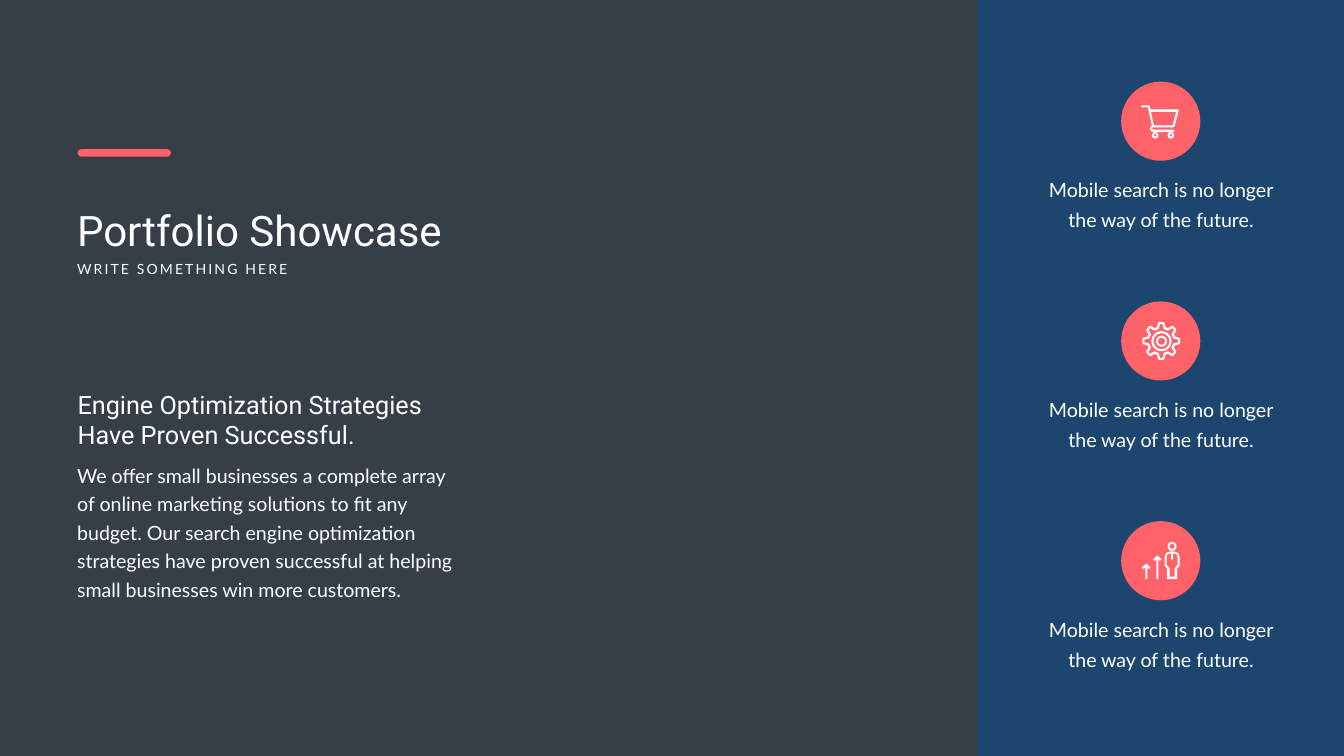
from math import cos, radians, sin

from pptx import Presentation
from pptx.dml.color import RGBColor
from pptx.enum.shapes import MSO_SHAPE
from pptx.enum.text import MSO_AUTO_SIZE, PP_ALIGN
from pptx.util import Pt

PX = 9144  # EMU per px, 100 px to the inch
WIDTH, HEIGHT = 2666, 1500
COLORS = {"slate": "363E48", "navy": "1C466E", "coral": "FF6269", "white": "FFFFFF"}
HEADING, BODY = "Roboto", "Lato"
WIDE_INSETS = (24, 12)

# Icon outlines, in px from the top left of their badge
BADGE = 157
CART = [
    [(63, 91), (103, 91), (106, 89), (114, 58), (114, 56), (112, 55), (58, 55),
     (57, 48), (54, 47), (41, 47), (39, 49), (41, 51), (53, 51), (61, 87), (58, 90),
     (57, 93), (59, 98), (63, 100), (103, 100), (106, 98), (103, 95), (63, 95), (61, 93)],
    [(109, 60), (102, 87), (65, 87), (59, 60)],
]
PERSON = [
    [(105, 60), (97, 60), (89, 63), (86, 71), (86, 88), (91, 95), (91, 115),
     (111, 115), (111, 95), (116, 88), (116, 71), (113, 63)],
    [(112, 86), (106, 94), (106, 110), (96, 110), (96, 94), (90, 86), (90, 71), (92, 66),
     (97, 64), (99, 64), (99, 76), (103, 76), (103, 64), (105, 64), (110, 66), (112, 71)],
]
TOOTH_OUTER = [(-8.5, -27.5), (-6.5, -35.5), (-4.5, -37.5),
               (4.5, -37.5), (6.5, -35.5), (8.5, -27.5)]
TOOTH_INNER = [(-5.5, -23.5), (-4.5, -25.5), (-2.5, -33.5),
               (2.5, -33.5), (4.5, -25.5), (5.5, -23.5)]


def gear_contour(tooth, center_x=79.5, center_y=78.5, teeth=8):
    """Repeat one tooth around the gear's centre."""
    contour = []
    for i in range(teeth):
        turn = radians(i * 360 / teeth)
        contour += [(center_x + x * cos(turn) - y * sin(turn),
                     center_y + x * sin(turn) + y * cos(turn)) for x, y in tooth]
    return contour


def arrow_contour(left, top, bottom):
    """Outline of an upward arrow."""
    head = top + 8
    return [(left, head), (left + 3, head + 3), (left + 7, head), (left + 7, bottom),
            (left + 11, bottom), (left + 11, head), (left + 14, head + 3),
            (left + 17, head), (left + 9, top)]


class SlideBuilder:
    def __init__(self, slide):
        self.slide = slide
        self.shapes = slide.shapes

    def background(self, color):
        fill = self.slide.background.fill
        fill.solid()
        fill.fore_color.rgb = RGBColor.from_string(COLORS[color])

    def paint(self, shape, color):
        shape.fill.solid()
        shape.fill.fore_color.rgb = RGBColor.from_string(COLORS[color])
        shape.line.fill.background()
        shape.shadow.inherit = False

    def shape(self, preset, left, top, width, height, color, adjust=None):
        shape = self.shapes.add_shape(
            preset, left * PX, top * PX, width * PX, height * PX)
        if adjust is not None:
            shape.adjustments[0] = adjust
        self.paint(shape, color)

    def ring(self, left, top, size, stroke=4):
        self.shape(MSO_SHAPE.DONUT, left, top, size, size, "white", stroke / size)

    def outline(self, left, top, contours):
        placed = [[((left + x) * PX, (top + y) * PX) for x, y in contour]
                  for contour in contours]
        builder = self.shapes.build_freeform(*placed[0][0], scale=1.0)
        for i, points in enumerate(placed):
            if i:
                builder.move_to(*points[0])
            builder.add_line_segments(points[1:], close=True)
        self.paint(builder.convert_to_shape(), "white")

    def text(self, words, left, top, width, height, size, font, insets=(10, 5),
             align=PP_ALIGN.LEFT, line_height=None, tracking=None):
        box = self.shapes.add_textbox(left * PX, top * PX, width * PX, height * PX)
        frame = box.text_frame
        frame.word_wrap = True
        frame.auto_size = MSO_AUTO_SIZE.SHAPE_TO_FIT_TEXT
        frame.margin_left = frame.margin_right = insets[0] * PX
        frame.margin_top = frame.margin_bottom = insets[1] * PX
        paragraph = frame.paragraphs[0]
        run = paragraph.add_run()
        run.text = words
        paragraph.alignment = align
        if line_height:
            paragraph.line_spacing = Pt(line_height)
        if tracking:
            run._r.get_or_add_rPr().set("spc", str(tracking * 100))
        paragraph.font.size = Pt(size)
        paragraph.font.name = font
        paragraph.font.color.rgb = RGBColor.from_string(COLORS["white"])


def draw_cart(page, left, top):
    page.outline(left, top, CART)
    for wheel_x in (61, 92):
        page.ring(left + wheel_x, top + 100, 13)


def draw_gear(page, left, top):
    page.outline(left, top, [gear_contour(TOOTH_OUTER), gear_contour(TOOTH_INNER)])
    page.ring(left + 60, top + 59, 40)
    page.ring(left + 69, top + 68, 22)


def draw_growth(page, left, top):
    page.outline(left, top, PERSON)
    page.ring(left + 92, top + 41, 18)
    for arrow_x, arrow_y in ((63, 68), (41, 84)):
        page.outline(left, top, [arrow_contour(arrow_x, arrow_y, 115)])


def main():
    presentation = Presentation()
    presentation.slide_width = WIDTH * PX
    presentation.slide_height = HEIGHT * PX
    page = SlideBuilder(presentation.slides.add_slide(presentation.slide_layouts[6]))
    page.background("slate")

    # Title with accent bar
    page.text("Portfolio Showcase", 143, 400, 799, 111, 60, HEADING)
    page.text("WRITE SOMETHING HERE", 143, 511, 585, 44, 20, BODY, tracking=3)
    page.shape(MSO_SHAPE.ROUNDED_RECTANGLE, 154, 296, 185, 15, "coral", 0.5)

    # Introduction
    page.text("We offer small businesses a complete array of online marketing solutions "
              "to fit any budget. Our search engine optimization strategies have proven "
              "successful at helping small businesses win more customers.",
              129, 898, 814, 306, 28, BODY, WIDE_INSETS, line_height=40.8)
    page.text("Engine Optimization Strategies Have Proven Successful.",
              144, 767, 811, 131, 36, HEADING)

    # Side panel with three badges
    page.shape(MSO_SHAPE.RECTANGLE, 1939, 0, WIDTH - 1939, HEIGHT, "navy")
    badge_left, first_top, pitch = 2224, 162, 436
    for i, draw_icon in enumerate((draw_cart, draw_gear, draw_growth)):
        top = first_top + i * pitch
        page.shape(MSO_SHAPE.OVAL, badge_left, top, BADGE, BADGE, "coral")
        draw_icon(page, badge_left, top)
        page.text("Mobile search is no longer the way of the future.",
                  2046, top + 166, 514, 138, 28, BODY, WIDE_INSETS,
                  PP_ALIGN.CENTER, line_height=43)

    presentation.save("out.pptx")


if __name__ == "__main__":
    main()
